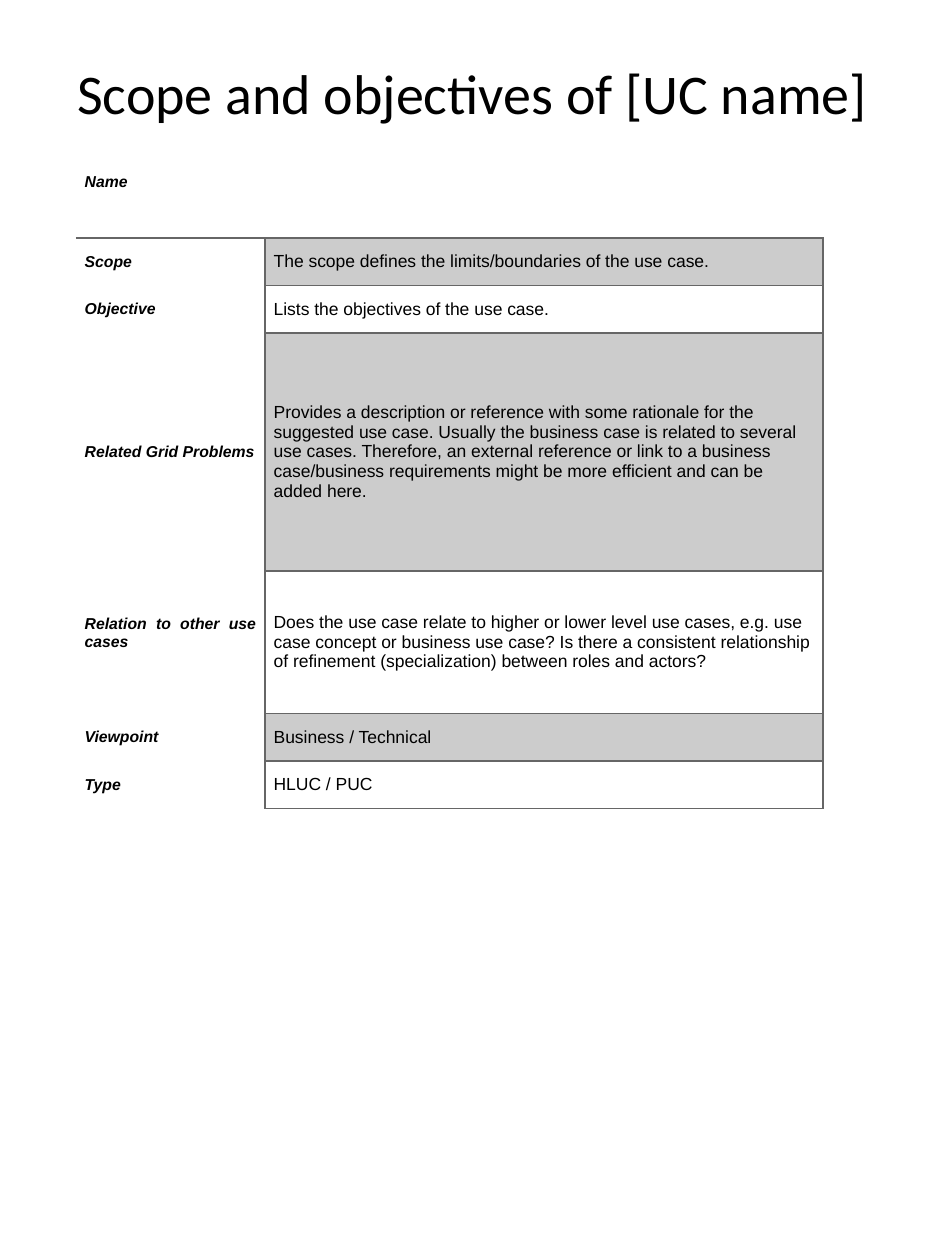
"""Builds the use case scope and objectives slide."""
from dataclasses import dataclass

import lxml.etree
import pptx
import pptx.dml.color
import pptx.enum.text
import pptx.oxml.ns
import pptx.util

Pt = pptx.util.Pt
Align = pptx.enum.text.PP_ALIGN
Anchor = pptx.enum.text.MSO_ANCHOR
BLACK = pptx.dml.color.RGBColor(0, 0, 0)
WHITE = pptx.dml.color.RGBColor(255, 255, 255)
BAND = pptx.dml.color.RGBColor(0xCC, 0xCC, 0xCC)
RULE = pptx.dml.color.RGBColor(0x66, 0x66, 0x66)
COLUMN_WIDTHS = (108, 319)


@dataclass(frozen=True)
class Row:
    label: str
    description: str
    height: float
    label_bottom: float = 0


ROWS = (
    Row("Name", "", 36.8),
    Row("Scope", "The scope defines the limits/boundaries of the use case.", 27.2),
    Row("Objective", "Lists the objectives of the use case.", 27.2),
    Row("Related Grid Problems",
        "Provides a description or reference with some rationale for the suggested use case. "
        "Usually the business case is related to several use cases. Therefore, an external "
        "reference or link to a business case/business requirements might be more efficient "
        "and can be added here.", 135.8),
    Row("Relation to other use cases",
        "Does the use case relate to higher or lower level use cases, e.g. use case concept or "
        "business use case? Is there a consistent relationship of refinement (specialization) "
        "between roles and actors?", 81.5, label_bottom=10.4),
    Row("Viewpoint", "Business / Technical", 27.2),
    Row("Type", "HLUC / PUC", 27.2),
)


def write_text(frame, text: str, *, size: float, font: str = "Arial",
               strong: bool = False, align=Align.LEFT) -> None:
    para = frame.paragraphs[0]
    para.alignment = align
    span = para.add_run()
    span.text = text
    span.font.size = Pt(size)
    span.font.name = font
    span.font.bold = span.font.italic = strong
    span.font.color.rgb = BLACK


def set_borders(cell, sides: str) -> None:
    properties = cell._tc.get_or_add_tcPr()
    for side in "LRTB":
        line = lxml.etree.SubElement(properties, pptx.oxml.ns.qn(f"a:ln{side}"), w=str(Pt(1)))
        if side in sides:
            fill = lxml.etree.SubElement(line, pptx.oxml.ns.qn("a:solidFill"))
            lxml.etree.SubElement(fill, pptx.oxml.ns.qn("a:srgbClr"), val=str(RULE))
        else:
            lxml.etree.SubElement(line, pptx.oxml.ns.qn("a:noFill"))


def style_cell(cell, *, fill, borders: str, anchor, bottom: float = 0) -> None:
    cell.margin_left = cell.margin_right = Pt(5.1)
    cell.margin_top = Pt(0)
    cell.margin_bottom = Pt(bottom)
    cell.vertical_anchor = anchor
    set_borders(cell, borders)
    cell.fill.solid()
    cell.fill.fore_color.rgb = fill


def add_title(page) -> None:
    box = page.shapes.add_textbox(Pt(27), Pt(28.8), Pt(486), Pt(47.5))
    box.text_frame.word_wrap = True
    box.text_frame.vertical_anchor = Anchor.MIDDLE
    write_text(box.text_frame, "Scope and objectives of [UC name]",
               size=32, font="Calibri", align=Align.CENTER)


def add_scope_table(page) -> None:
    table = page.shapes.add_table(
        len(ROWS), len(COLUMN_WIDTHS), Pt(43.3), Pt(99.2),
        Pt(sum(COLUMN_WIDTHS)), Pt(sum(row.height for row in ROWS))).table
    table.first_row = table.horz_banding = False
    for column, width in zip(table.columns, COLUMN_WIDTHS):
        column.width = Pt(width)
    for index, row in enumerate(ROWS):
        table.rows[index].height = Pt(row.height)
        label, description = table.cell(index, 0), table.cell(index, 1)
        heading = index == 0
        anchor = Anchor.TOP if heading else Anchor.MIDDLE
        label_borders = "B" if heading else "RT" if index == 1 else "R"
        style_cell(label, fill=WHITE, borders=label_borders, anchor=anchor,
                   bottom=row.label_bottom)
        style_cell(description, fill=BAND if index % 2 else WHITE,
                   borders="B" if heading else "LRTB", anchor=anchor)
        write_text(label.text_frame, row.label, size=9, strong=True, align=Align.JUSTIFY)
        if row.description:
            write_text(description.text_frame, row.description, size=10)


def main() -> None:
    deck = pptx.Presentation()
    deck.slide_width, deck.slide_height = Pt(540), Pt(720)
    page = deck.slides.add_slide(deck.slide_layouts[6])
    add_title(page)
    add_scope_table(page)
    deck.save("out.pptx")


main()
